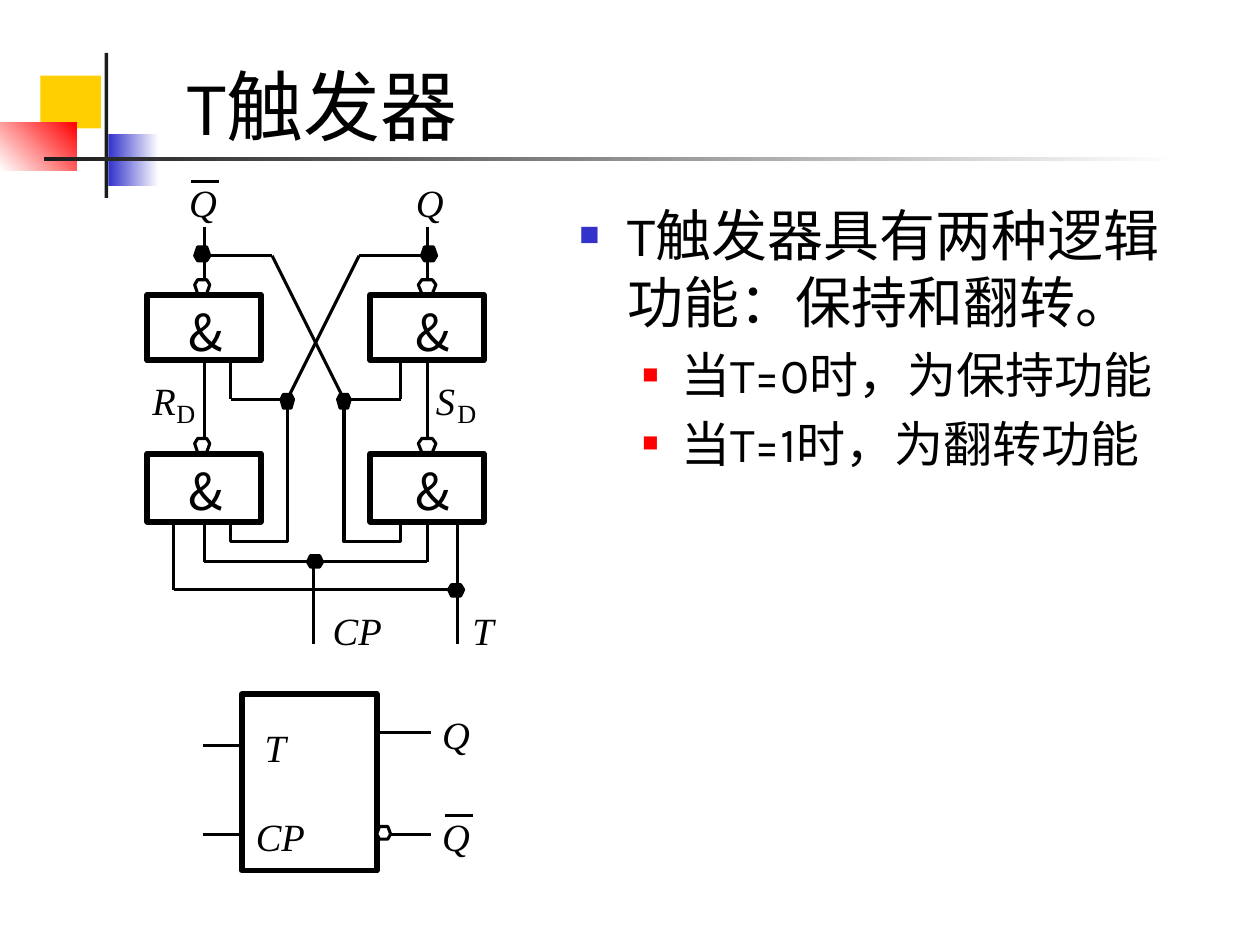
from lxml import etree
from pptx import Presentation
from pptx import util as u
from pptx.dml.color import RGBColor
from pptx.enum import shapes as kinds, text
from pptx.oxml import ns

BLACK = RGBColor(0, 0, 0)
WHITE = RGBColor(255, 255, 255)
INK = RGBColor(0x1C, 0x1C, 0x1C)
YELLOW = RGBColor(0xFF, 0xCF, 0x01)
RED = RGBColor(0xFF, 0, 0)
BLUE = RGBColor(0x33, 0x33, 0xCC)

SANS, GATE_FONT, SERIF = "Karla", "Noto Sans CJK SC", "Times New Roman"
THIN, THICK = 1.75, 3.38

# Columns of the left half of the circuit; the right half mirrors them.
AXIS = 2.505
GATE_LEFT, GATE_W = 1.17, 0.9
T_COL, MAIN_COL, LOOP_COL, TURN_COL, CROSS_COL = 1.38, 1.62, 1.83, 2.16, 2.28
CP_COL = 2.49
# Rows from the outputs down to the inputs.
OUT_ROW, TAP_ROW, UPPER_TOP, UPPER_END = 1.8, 2.03, 2.34, 2.86
CROSS_ROW, LOWER_TOP, LOWER_END = 3.17, 3.6, 4.14
LOOP_ROW, CP_ROW, T_ROW, IN_ROW = 4.3, 4.46, 4.68, 5.11


def mirror(x):
    return 2 * AXIS - x


def inches(*lengths):
    return [u.Inches(length) for length in lengths]


def paint(shape, fill=None, width=None):
    shape.shadow.inherit = False
    if fill is None:
        shape.fill.background()
    else:
        shape.fill.solid()
        shape.fill.fore_color.rgb = fill
    if width is None:
        shape.line.fill.background()
    else:
        shape.line.color.rgb = BLACK
        shape.line.width = u.Pt(width)


def rect(parent, box, fill, width=None):
    shape = parent.add_shape(kinds.MSO_SHAPE.RECTANGLE, *inches(*box))
    paint(shape, fill, width)
    return shape


def gradient_rect(parent, box, start, end, angle=0):
    shape = rect(parent, box, start)
    shape.fill.gradient()
    shape.fill.gradient_angle = angle
    for stop, position, color in zip(shape.fill.gradient_stops, (0, 1), (start, end)):
        stop.position = position
        stop.color.rgb = color


def wire(parent, *points):
    """Join the points with straight connectors."""
    for start, end in zip(points, points[1:]):
        line = parent.add_connector(kinds.MSO_CONNECTOR.STRAIGHT, *inches(*start, *end))
        line.line.color.rgb = BLACK
        line.line.width = u.Pt(THIN)
        etree.SubElement(line._element.spPr, ns.qn("a:effectLst"))


def outline(parent, points, fill=None, close=True):
    (x, y), *rest = [inches(*point) for point in points]
    builder = parent.build_freeform(x, y)
    builder.add_line_segments(rest, close=close)
    paint(builder.convert_to_shape(), fill, THIN)


def knot(parent, x, y, up, down, fill=BLACK, w=0.12):
    """Six-sided mark: filled for a junction, white for an inverting bubble."""
    half, inner = w / 2, w * 0.3
    outline(parent, [(x - half, y), (x - inner, y - up), (x + inner, y - up),
                     (x + half, y), (x + inner, y + down), (x - inner, y + down)], fill)


def add_run(paragraph, words, size, font, italic=False):
    run = paragraph.add_run()
    run.text = words
    run.font.size, run.font.name = u.Pt(size), font
    run.font.italic = italic
    run.font.color.rgb = BLACK
    east_asian = etree.SubElement(run._r.get_or_add_rPr(), ns.qn("a:ea"))
    east_asian.set("typeface", font)


def label(parent, words, x, y, w, h=0.37, size=22, font=SERIF, italic=True):
    frame = parent.add_textbox(*inches(x, y, w, h)).text_frame
    frame.margin_left = frame.margin_right = frame.margin_top = frame.margin_bottom = 0
    frame.word_wrap = False
    frame.auto_size = text.MSO_AUTO_SIZE.SHAPE_TO_FIT_TEXT
    add_run(frame.paragraphs[0], words, size, font, italic)


def negated_q(parent, x, y):
    label(parent, "Q", x, y, 0.22)
    wire(parent, (x + 0.02, y + 0.02), (x + 0.24, y + 0.02))


def and_gate(parent, left, top, bottom, mark_x, bubble_x, bubble_w):
    rect(parent, (left, top, GATE_W, bottom - top), WHITE, THICK)
    label(parent, "&", mark_x, top + 0.05, 0.2, 0.48, 29, GATE_FONT, False)
    knot(parent, bubble_x, top - 0.08, 0.04, 0.07, WHITE, bubble_w)


def bullet(paragraph, words, size, level, margin, hang, color, percent):
    props = paragraph._p.get_or_add_pPr()
    props.set("marL", str(u.Inches(margin)))
    props.set("indent", str(-u.Inches(hang)))
    tint = etree.SubElement(props, ns.qn("a:buClr"))
    etree.SubElement(tint, ns.qn("a:srgbClr")).set("val", str(color))
    for tag, key, value in (("a:buSzPct", "val", str(percent * 1000)),
                            ("a:buFont", "typeface", SERIF),
                            ("a:buChar", "char", "■")):
        etree.SubElement(props, ns.qn(tag)).set(key, value)
    paragraph.level = level
    add_run(paragraph, words, size, SANS)


def decoration(parent):
    rect(parent, (0.32, 0.6, 0.48, 0.42), YELLOW)
    gradient_rect(parent, (0.86, 1.06, 0.4, 0.42), BLUE, WHITE)
    gradient_rect(parent, (0, 0.97, 0.61, 0.38), WHITE, RED, 45)
    rect(parent, (0.83, 0.42, 0.03, 1.15), INK)
    gradient_rect(parent, (0.35, 1.25, 9, 0.03), INK, WHITE)


def title(parent):
    frame = parent.add_textbox(*inches(1.39, 0.58, 8.52, 0.67)).text_frame
    frame.word_wrap = True
    frame.vertical_anchor = text.MSO_ANCHOR.BOTTOM
    add_run(frame.paragraphs[0], "T触发器", 44, SANS)


def explanation(parent):
    frame = parent.add_textbox(*inches(4.5, 1.54, 5.17, 5.29)).text_frame
    frame.word_wrap = True
    bullet(frame.paragraphs[0], "T触发器具有两种逻辑功能：保持和翻转。",
           32, 0, 0.38, 0.38, BLUE, 60)
    for words in ("当T=0时，为保持功能", "当T=1时，为翻转功能"):
        paragraph = frame.add_paragraph()
        bullet(paragraph, words, 28, 1, 0.81, 0.31, RED, 55)
        paragraph.space_before = u.Pt(5.6)


def circuit(parent):
    for side in (lambda x: x, mirror):
        main, loop, cross = side(MAIN_COL), side(LOOP_COL), side(CROSS_COL)
        wire(parent, (main, OUT_ROW), (main, UPPER_TOP - 0.11))
        wire(parent, (main, UPPER_END), (main, LOWER_TOP))
        wire(parent, (main, TAP_ROW), (side(TURN_COL), TAP_ROW),
             (mirror(cross), CROSS_ROW))
        wire(parent, (loop, UPPER_END), (loop, CROSS_ROW), (cross, CROSS_ROW))
        wire(parent, (main, LOWER_END), (main, CP_ROW))
        outline(parent, [(loop, LOWER_END), (loop, LOOP_ROW),
                         (cross, LOOP_ROW), (cross, CROSS_ROW)], close=False)
        knot(parent, cross, CROSS_ROW, 0.04, 0.07, w=0.1)
        knot(parent, side(1.605), TAP_ROW, 0.07, 0.04)

    t_right = mirror(T_COL)
    wire(parent, (MAIN_COL, CP_ROW), (mirror(MAIN_COL), CP_ROW))
    wire(parent, (CP_COL, CP_ROW), (CP_COL, IN_ROW))
    wire(parent, (T_COL, LOWER_END), (T_COL, T_ROW), (t_right, T_ROW))
    wire(parent, (t_right, LOWER_END), (t_right, IN_ROW))
    knot(parent, 2.5, CP_ROW, 0.05, 0.04)
    knot(parent, 3.62, T_ROW, 0.04, 0.05)

    for top, bottom in ((UPPER_TOP, UPPER_END), (LOWER_TOP, LOWER_END)):
        and_gate(parent, GATE_LEFT, top, bottom, 1.5, 1.605, 0.12)
        and_gate(parent, mirror(GATE_LEFT + GATE_W), top, bottom, 3.3, 3.39, 0.14)

    negated_q(parent, 1.5, 1.42)
    label(parent, "Q", 3.3, 1.42, 0.22)
    for letter, x, w, index_x in (("R", 1.21, 0.19, 1.4), ("S", 3.46, 0.15, 3.63)):
        label(parent, letter, x, 2.99, w)
        label(parent, "D", index_x, 3.15, 0.15, 0.25, 15, italic=False)
    label(parent, "CP", 2.64, 4.82, 0.39)
    label(parent, "T", 3.75, 4.82, 0.17)


def symbol(parent):
    left, right, clock_row = 1.92, 2.99, 6.62
    rect(parent, (left, 5.51, right - left, 1.4), WHITE, THICK)
    for start, end, row in ((1.61, left, 5.92), (1.61, left, clock_row),
                            (right, 3.42, 5.81), (right, 3.42, clock_row)):
        wire(parent, (start, row), (end, row))
    knot(parent, right + 0.055, clock_row, 0.06, 0.04, WHITE, 0.11)
    label(parent, "T", 2.1, 5.75, 0.17)
    label(parent, "CP", 2.03, 6.45, 0.39)
    label(parent, "Q", 3.51, 5.64, 0.22)
    negated_q(parent, 3.51, 6.45)


def main():
    deck = Presentation()
    deck.slide_width, deck.slide_height = inches(10, 7.5)
    canvas = deck.slides.add_slide(deck.slide_layouts[6]).shapes
    decoration(canvas)
    explanation(canvas)
    title(canvas)
    circuit(canvas.add_group_shape().shapes)
    symbol(canvas.add_group_shape().shapes)
    deck.save("out.pptx")


if __name__ == "__main__":
    main()
